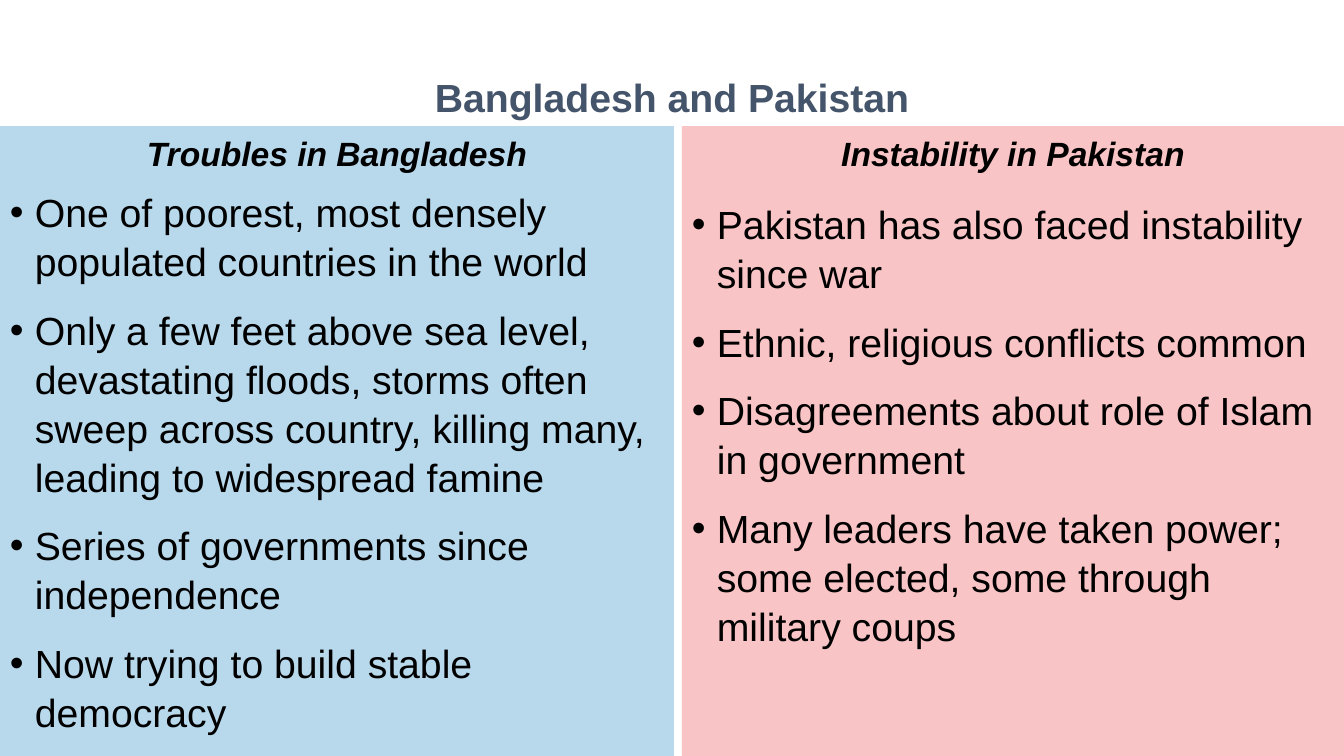
import pptx
import pptx.util
import pptx.dml.color
import pptx.enum.shapes
import pptx.enum.text
from lxml import etree

EMU = 914400 / 100.8
WIDE, HIGH = 1344, 756
TOP = 126
INDENT = 25
FONT = "Arial"
BLACK = "000000"
ALIGN = pptx.enum.text.PP_ALIGN
ANCHOR = pptx.enum.text.MSO_ANCHOR

LEFT = [
    "One of poorest, most densely populated countries in the world",
    "Only a few feet above sea level, devastating floods, storms often "
    "sweep across country, killing many, leading to widespread famine",
    "Series of governments since independence",
    "Now trying to build stable democracy",
]
RIGHT = [
    "Pakistan has also faced instability since war",
    "Ethnic, religious conflicts common",
    "Disagreements about role of Islam in government",
    "Many leaders have taken power; some elected, some through military coups",
]


def px(n):
    return pptx.util.Emu(round(n * EMU))


def color(code):
    return pptx.dml.color.RGBColor.from_string(code)


def panel(slide, x, y, w, h, fill):
    kind = pptx.enum.shapes.MSO_SHAPE.RECTANGLE
    box = slide.shapes.add_shape(kind, px(x), px(y), px(w), px(h))
    box.shadow.inherit = False
    box.fill.solid()
    box.fill.fore_color.rgb = color(fill)
    box.line.fill.background()
    box.text_frame.word_wrap = True
    box.text_frame.vertical_anchor = ANCHOR.TOP
    return box.text_frame


def write(para, text, size, ink=BLACK, bold=False, italic=False):
    run = para.add_run()
    run.text = text
    font = run.font
    font.name = FONT
    font.size = pptx.util.Pt(size)
    font.bold = bold
    font.italic = italic
    font.color.rgb = color(ink)


def bullet(para):
    """Give the paragraph a hanging round bullet."""
    props = para._p.get_or_add_pPr()
    props.set("marL", str(px(INDENT)))
    props.set("indent", str(-px(INDENT)))
    space = pptx.oxml.ns.qn
    etree.SubElement(props, space("a:buFont")).set("typeface", FONT)
    etree.SubElement(props, space("a:buChar")).set("char", "•")


def points(frame, items):
    for i, item in enumerate(items):
        para = frame.paragraphs[0] if i == 0 else frame.add_paragraph()
        bullet(para)
        para.alignment = ALIGN.LEFT
        para.line_spacing = 1.04
        para.space_after = pptx.util.Pt(14)
        write(para, item, 28)


def column(slide, x, w, split, fill, head, items):
    """Draw a list panel under its heading; split is where they meet."""
    points(panel(slide, x, split, w, HIGH - split, fill), items)
    para = panel(slide, x, TOP, w, split - TOP, fill).paragraphs[0]
    para.alignment = ALIGN.CENTER
    para.line_spacing = 1.04
    write(para, head, 24, bold=True, italic=True)


def title(slide, text):
    box = slide.shapes.add_textbox(px(235), px(67), px(874), px(59))
    frame = box.text_frame
    frame.word_wrap = True
    frame.vertical_anchor = ANCHOR.MIDDLE
    para = frame.paragraphs[0]
    para.alignment = ALIGN.CENTER
    write(para, text, 28, "44546A", bold=True)


def main():
    deck = pptx.Presentation()
    deck.slide_width, deck.slide_height = px(WIDE), px(HIGH)
    slide = deck.slides.add_slide(deck.slide_layouts[6])
    column(slide, 682, WIDE - 682, 194, "F8C4C5", "Instability in Pakistan", RIGHT)
    column(slide, 0, 674, 182, "B8D9EC", "Troubles in Bangladesh", LEFT)
    title(slide, "Bangladesh and Pakistan")
    deck.save("out.pptx")


if __name__ == "__main__":
    main()
